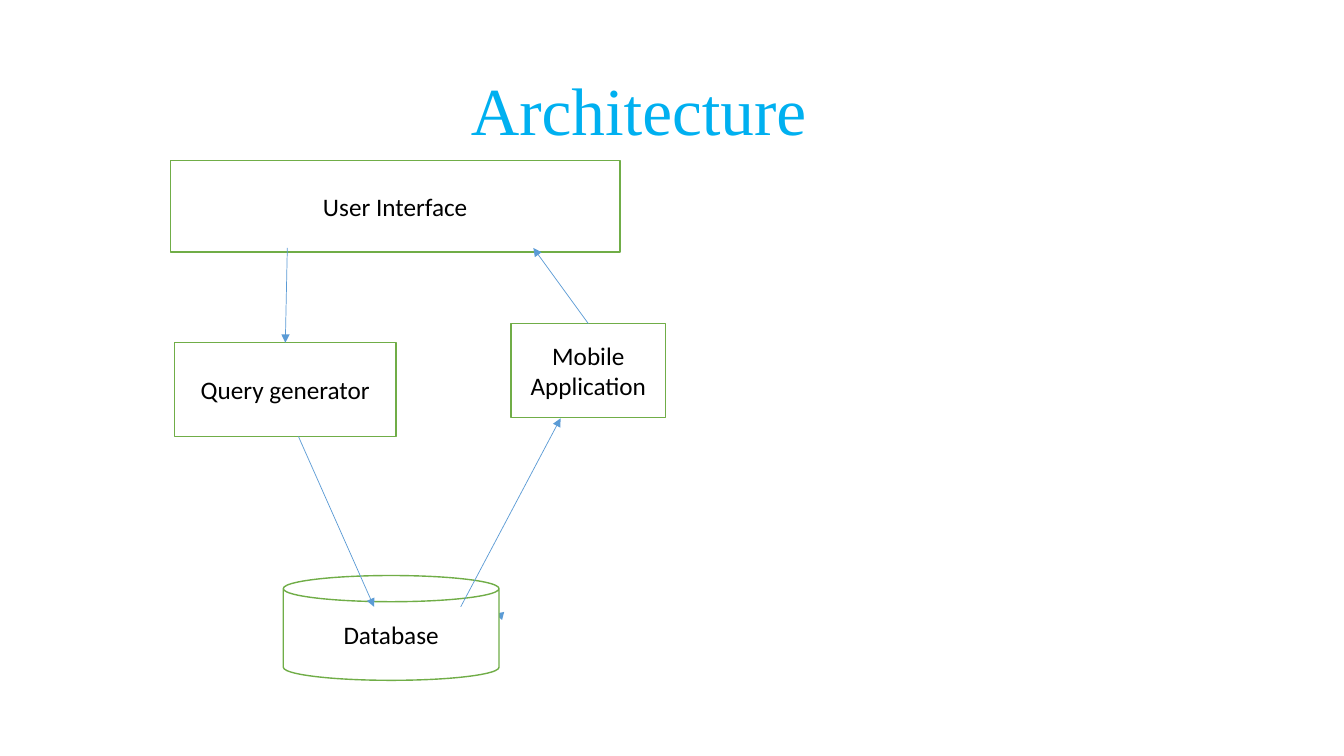
from dataclasses import dataclass

from lxml import etree
from pptx import Presentation
from pptx import util as u
from pptx.dml.color import RGBColor
from pptx.enum import shapes, text
from pptx.oxml import ns


@dataclass(frozen=True)
class Theme:
    title_color: RGBColor = RGBColor(0x00, 0xB0, 0xF0)
    text_color: RGBColor = RGBColor(0x00, 0x00, 0x00)
    fill: RGBColor = RGBColor(0xFF, 0xFF, 0xFF)
    outline: RGBColor = RGBColor(0x70, 0xAD, 0x47)
    arrow: RGBColor = RGBColor(0x5B, 0x9B, 0xD5)
    title_font: str = "Times New Roman"
    body_font: str = "Calibri"
    title_size: int = 48
    body_size: int = 18


THEME = Theme()
TOP = 0

RECT = shapes.MSO_SHAPE.RECTANGLE
CAN = shapes.MSO_SHAPE.CAN

# Components: preset, then left, top, width, height inside the diagram
COMPONENTS = {
    "Database": (CAN, 1.12, 4.12, 2.14, 1.04),
    "User Interface": (RECT, 0, 0, 4.46, 0.91),
    "Query generator": (RECT, 0.04, 1.81, 2.2, 0.93),
    "Mobile Application": (RECT, 3.38, 1.62, 1.53, 0.93),
}

# Arrows: start, end, component joined at the start, component joined at the end
ARROWS = [
    ((1.16, 0.87), (1.14, 1.81), None, "Query generator"),
    ((4.15, 1.62), (3.6, 0.87), "Mobile Application", None),
    ((2.88, 4.43), (3.87, 2.56), None, None),
    ((1.27, 2.74), (2.02, 4.43), None, None),
]
DATABASE_ARROW = ((3.26, 4.51), (3.22, 4.5))


def style_text(para, font, size, color):
    for span in para.runs:
        span.font.name = font
        span.font.size = u.Pt(size)
        span.font.color.rgb = color


def add_title(page, left, top, width, height, indent):
    box = page.shapes.add_textbox(*map(u.Inches, (left, top, width, height)))
    frame = box.text_frame
    frame.word_wrap = True
    frame.vertical_anchor = text.MSO_ANCHOR.MIDDLE
    frame.margin_left = u.Inches(indent)
    frame.text = "Architecture"
    para = frame.paragraphs[0]
    para.line_spacing = 0.9
    style_text(para, THEME.title_font, THEME.title_size, THEME.title_color)


def add_component(page, preset, label, left, top, width, height):
    box = page.shapes.add_shape(preset, *map(u.Inches, (left, top, width, height)))
    box.shadow.inherit = False
    box.fill.solid()
    box.fill.fore_color.rgb = THEME.fill
    box.line.color.rgb = THEME.outline
    box.line.width = u.Pt(1)
    frame = box.text_frame
    frame.word_wrap = True
    frame.vertical_anchor = text.MSO_ANCHOR.MIDDLE
    frame.text = label
    para = frame.paragraphs[0]
    para.alignment = text.PP_ALIGN.CENTER
    style_text(para, THEME.body_font, THEME.body_size, THEME.text_color)
    return box


def add_arrow(page, left, top, start, end):
    points = [u.Inches(origin + offset)
              for point in (start, end)
              for origin, offset in zip((left, top), point)]
    arrow = page.shapes.add_connector(shapes.MSO_CONNECTOR.STRAIGHT, *points)
    arrow.line.color.rgb = THEME.arrow
    arrow.line.width = u.Pt(0.5)
    outline = arrow.line._get_or_add_ln()
    etree.SubElement(outline, ns.qn("a:tailEnd"), type="triangle")
    etree.SubElement(arrow._element.spPr, ns.qn("a:effectLst"))
    return arrow


def add_diagram(page, left, top):
    # The short arrow lies behind the database
    add_arrow(page, left, top, *DATABASE_ARROW)

    boxes = {}
    for label, (preset, x, y, width, height) in COMPONENTS.items():
        boxes[label] = add_component(page, preset, label, left + x, top + y, width, height)

    for start, end, source, target in ARROWS:
        arrow = add_arrow(page, left, top, start, end)
        if source:
            arrow.begin_connect(boxes[source], TOP)
        if target:
            arrow.end_connect(boxes[target], TOP)


def main():
    deck = Presentation()
    deck.slide_width = u.Inches(13.33)
    deck.slide_height = u.Inches(7.5)
    page = deck.slides.add_slide(deck.slide_layouts[6])
    add_title(page, 0.12, 0.4, 12.97, 1.45, indent=4.55)
    add_diagram(page, 1.69, 1.59)
    deck.save("out.pptx")


if __name__ == "__main__":
    main()
